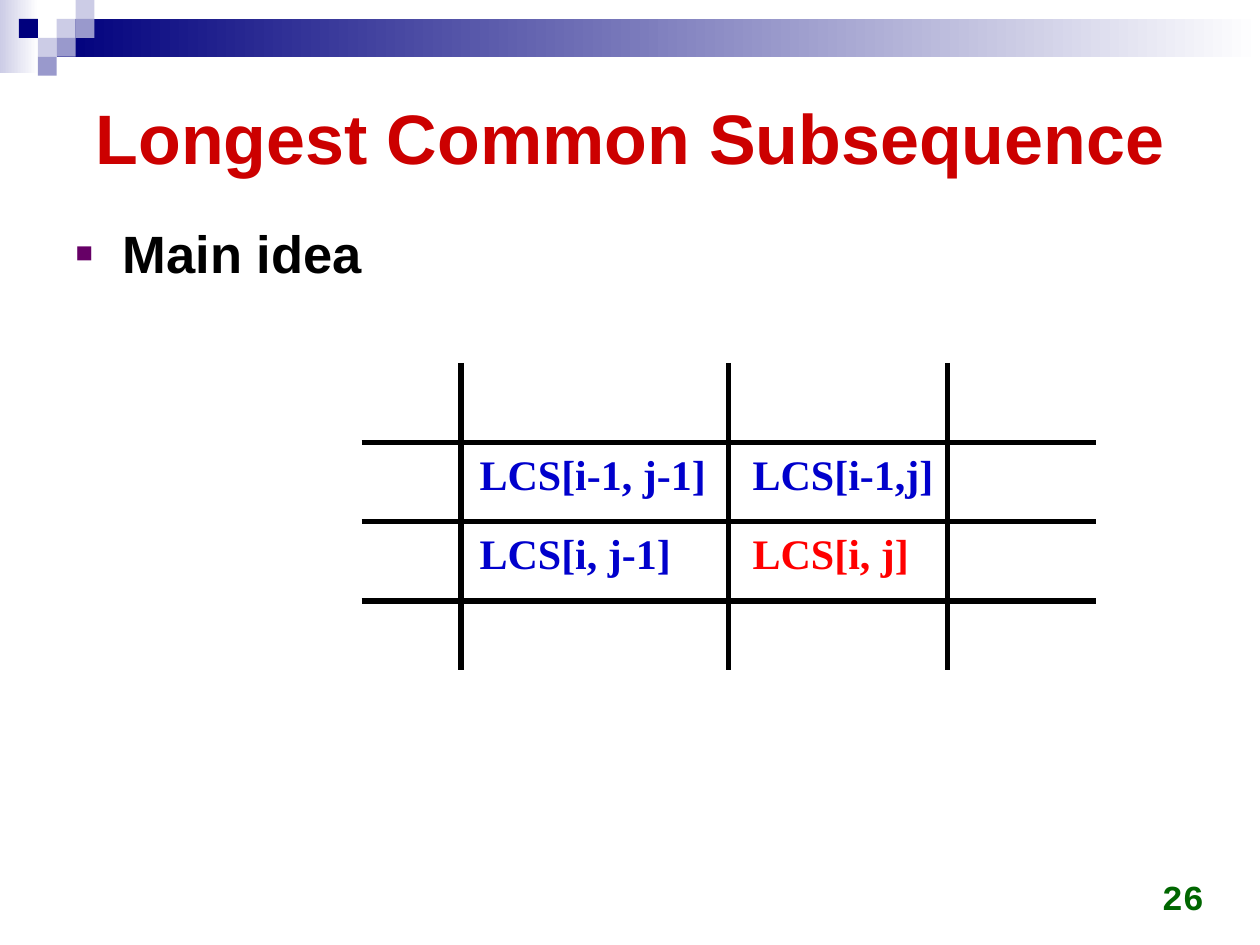
from pptx import Presentation
from pptx.dml.color import RGBColor
from pptx.enum.shapes import MSO_CONNECTOR, MSO_SHAPE
from pptx.enum.text import MSO_ANCHOR, MSO_AUTO_SIZE, PP_ALIGN
from pptx.oxml.ns import qn
from pptx.util import Pt
from lxml.etree import SubElement as Sub

NAVY, LILAC, PALE, WHITE, BLACK = "00007D", "9999CC", "CCCCE6", "FFFFFF", "000000"
RED, BLUE, BRIGHT_RED, GREEN, PURPLE = "CC0000", "0000CC", "FF0000", "006600", "660066"
UNIT = 10.8  # side of one corner square


def rgb(color):
    return RGBColor.from_string(color)


class Deck:
    sans, serif, mono = "Arial", "Times New Roman", "Courier New"

    def __init__(self, prs):
        self.slide = prs.slides.add_slide(prs.slide_layouts[1])
        self.shapes = self.slide.shapes

    def place(self, sp, x, y, w, h):
        sp.left, sp.top, sp.width, sp.height = Pt(x), Pt(y), Pt(w), Pt(h)

    def set_text(self, sp, text, size, font, color, align=PP_ALIGN.LEFT, anchor=MSO_ANCHOR.TOP):
        tf = sp.text_frame
        tf.text = text
        tf.word_wrap = True
        tf.auto_size = MSO_AUTO_SIZE.NONE
        tf.vertical_anchor = anchor
        p = tf.paragraphs[0]
        p.alignment = align
        p.space_before = Pt(0)
        for r in p.runs:
            r.font.size, r.font.name, r.font.bold = Pt(size), font, True
            r.font.color.rgb = rgb(color)
        return p

    def title(self, text, box):
        sp = self.shapes.title
        self.place(sp, *box)
        self.set_text(sp, text, 40, self.sans, RED, PP_ALIGN.CENTER, MSO_ANCHOR.MIDDLE)

    def bullet(self, text, box):
        sp = self.slide.placeholders[1]
        self.place(sp, *box)
        p = self.set_text(sp, text, 30, self.sans, BLACK)
        p.line_spacing = 1.05
        pPr = p._p.get_or_add_pPr()
        pPr.set("marL", str(Pt(27)))
        pPr.set("indent", str(Pt(-27)))
        Sub(Sub(pPr, qn("a:buClr")), qn("a:srgbClr"), val=PURPLE)
        Sub(pPr, qn("a:buSzPct"), val="55000")
        Sub(pPr, qn("a:buFont"), typeface=self.sans)
        Sub(pPr, qn("a:buChar"), char="■")

    def text(self, text, box, size, font, color, **layout):
        sp = self.shapes.add_textbox(*map(Pt, box))
        self.set_text(sp, text, size, font, color, **layout)

    def rect(self, box, *colors):
        """One colour fills the shape plainly, two make a left-to-right gradient."""
        sp = self.shapes.add_shape(MSO_SHAPE.RECTANGLE, *map(Pt, box))
        sp.shadow.inherit = False
        sp.line.fill.background()
        if len(colors) == 1:
            sp.fill.solid()
            sp.fill.fore_color.rgb = rgb(colors[0])
        else:
            sp.fill.gradient()
            sp.fill.gradient_angle = 0
            for stop, color in zip(sp.fill.gradient_stops, colors):
                stop.color.rgb = rgb(color)

    def line(self, x1, y1, x2, y2):
        ln = self.shapes.add_connector(MSO_CONNECTOR.STRAIGHT, *map(Pt, (x1, y1, x2, y2)))
        ln.line.width = Pt(3)
        ln.line.color.rgb = rgb(BLACK)
        Sub(ln._element.spPr, qn("a:effectLst"))


def main():
    prs = Presentation()
    prs.slide_width, prs.slide_height = Pt(720), Pt(540)
    deck = Deck(prs)

    deck.rect((0, 0, 22, 42), PALE, WHITE)
    deck.rect((3 * UNIT, UNIT, 720 - 3 * UNIT, 2 * UNIT), NAVY, WHITE)
    squares = [(3, 1, PALE), (4, 0, PALE), (4, 1, LILAC), (2, 2, PALE),
               (1, 1, NAVY), (3, 2, LILAC), (2, 3, LILAC)]
    for col, row, color in squares:
        deck.rect((col * UNIT, row * UNIT, UNIT, UNIT), color)

    deck.title("Longest Common Subsequence", (36, 36, 648, 83.5))
    deck.bullet("Main idea", (36, 121, 648, 370))
    deck.text("26", (527, 492, 168, 36), 20, deck.mono, GREEN,
              align=PP_ALIGN.RIGHT, anchor=MSO_ANCHOR.BOTTOM)

    row_lines = [252.7 + 45.4 * i for i in range(3)]
    column_lines = [263.4, 416.2, 541.4]
    cells = [[("LCS[i-1, j-1]", BLUE), ("LCS[i-1,j]", BLUE)],
             [("LCS[i, j-1]", BLUE), ("LCS[i, j]", BRIGHT_RED)]]
    for y, row in zip(row_lines, cells):
        for x, (label, color) in zip((267, 423), row):
            deck.text(label, (x, y, 150, 37), 24, deck.serif, color)
    for y in row_lines:
        deck.line(206.6, y, 626.4, y)
    for x in column_lines:
        deck.line(x, 207.4, x, 383)

    prs.save("out.pptx")


if __name__ == "__main__":
    main()
